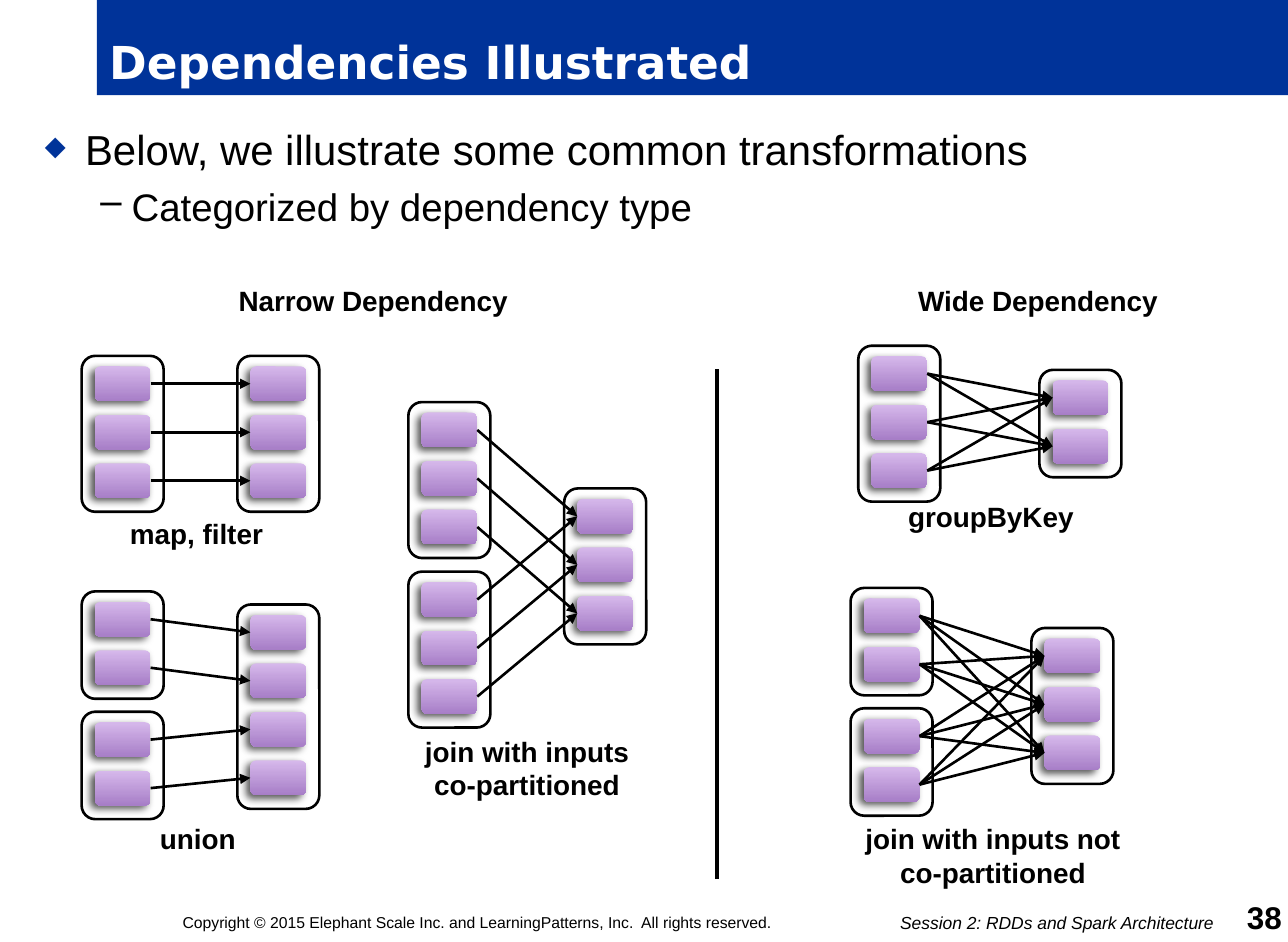
import itertools
from dataclasses import dataclass

import lxml.etree
import pptx
import pptx.dml.color
import pptx.enum.dml
import pptx.enum.shapes
import pptx.enum.text
import pptx.oxml.ns
import pptx.shapes.base
import pptx.slide
import pptx.text.text
import pptx.util

Pt = pptx.util.Pt
Align = pptx.enum.text.PP_ALIGN
Anchor = pptx.enum.text.MSO_ANCHOR
Preset = pptx.enum.shapes.MSO_SHAPE


@dataclass(frozen=True)
class Theme:
    blue: str = "003399"
    white: str = "FFFFFF"
    black: str = "000000"
    light_purple: str = "D6B8EB"
    dark_purple: str = "A77EC7"
    title_font: str = "DejaVu Sans"
    text_font: str = "Arial"
    title_size: float = 26
    bullet_size: float = 24
    subbullet_size: float = 22
    number_size: float = 18
    label_size: float = 16
    session_size: float = 10
    copyright_size: float = 9


THEME = Theme()
BOX_WIDTH = 47
BOX_PADDING = 6
PARTITION_WIDTH, PARTITION_HEIGHT = 32, 20
PARTITION_INSET = 7.5
PARTITION_PITCH = 27.8


@dataclass(frozen=True)
class Dataset:
    left: float
    top: float
    count: int

    def partitions(self) -> list[tuple[float, float]]:
        """Return the left and top of every partition."""
        return [(self.left + PARTITION_INSET, self.top + BOX_PADDING + PARTITION_PITCH * index)
                for index in range(self.count)]


@dataclass(frozen=True)
class Transformation:
    inputs: list[Dataset]
    output: Dataset
    wide: bool = False


@dataclass(frozen=True)
class Label:
    text: str
    left: float
    top: float
    width: float
    height: float
    size: float = THEME.label_size
    bold: bool = True
    italic: bool = False
    align: Align = Align.CENTER
    anchor: Anchor = Anchor.TOP
    inset: bool = True


@dataclass(frozen=True)
class Bullet:
    text: str
    level: int
    size: float
    margin: float
    hanging: float
    symbol: str
    colour: str
    percent: int
    space_before: float


TRANSFORMATIONS = [
    Transformation([Dataset(46.8, 204, 3)], Dataset(136, 204, 3)),
    Transformation([Dataset(46.8, 339, 2), Dataset(46.8, 408, 2)], Dataset(136, 346.5, 4)),
    Transformation([Dataset(234, 230.5, 3), Dataset(234, 327.7, 3)], Dataset(323.3, 280, 3)),
    Transformation([Dataset(491.8, 198.2, 3)], Dataset(595.6, 212, 2), wide=True),
    Transformation([Dataset(487.4, 337, 2), Dataset(487.4, 406, 2)], Dataset(591, 360, 3), wide=True),
]

LABELS = [
    Label("Narrow Dependency", 129.6, 159, 172, 26.6, align=Align.LEFT),
    Label("Wide Dependency", 519, 159, 155, 26.6, align=Align.LEFT),
    Label("map, filter", 44.6, 292.5, 136, 26.6),
    Label("union", 44.6, 467.5, 137.5, 26.6),
    Label("join with inputs co-partitioned", 234, 417.5, 136, 46),
    Label("groupByKey", 489, 283, 157.5, 26.6),
    Label("join with inputs not\nco-partitioned", 457, 467.5, 224, 46),
    Label("Copyright © 2015 Elephant Scale Inc. and LearningPatterns, Inc.  All rights reserved.",
          99.4, 520.5, 347.8, 13.7, THEME.copyright_size, bold=False, anchor=Anchor.BOTTOM, inset=False),
    Label("Session 2: RDDs and Spark Architecture", 512.6, 522.7, 185.8, 16.6,
          THEME.session_size, bold=False, italic=True, inset=False),
    Label("38", 691.2, 518.4, 43.2, 18, THEME.number_size,
          align=Align.RIGHT, anchor=Anchor.BOTTOM, inset=False),
]

BULLETS = [
    Bullet("Below, we illustrate some common transformations", 0, THEME.bullet_size,
           23, 23, "◆", THEME.blue, 65, 0),
    Bullet("Categorized by dependency type", 1, THEME.subbullet_size,
           49.7, 18, "–", THEME.black, 100, 5),
]


def rgb(colour: str) -> pptx.dml.color.RGBColor:
    """Turn a hexadecimal string into a colour."""
    return pptx.dml.color.RGBColor.from_string(colour)


def add_element(parent: lxml.etree._Element, tag: str, **attributes: object) -> lxml.etree._Element:
    """Append a DrawingML element to its parent."""
    return lxml.etree.SubElement(parent, pptx.oxml.ns.qn(f"a:{tag}"),
                                 {name: str(value) for name, value in attributes.items()})


def style_font(paragraph: pptx.text.text._Paragraph, size: float, colour: str = THEME.black,
               name: str = THEME.text_font, bold: bool = False, italic: bool = False) -> None:
    """Set the font of a whole paragraph."""
    font = paragraph.font
    font.name, font.size, font.bold, font.italic = name, Pt(size), bold, italic
    font.color.rgb = rgb(colour)


def draw_shape(slide: pptx.slide.Slide, preset: Preset, left: float, top: float,
               width: float, height: float, fill: str) -> pptx.shapes.base.BaseShape:
    """Draw a flat preset shape without outline or shadow."""
    shape = slide.shapes.add_shape(preset, Pt(left), Pt(top), Pt(width), Pt(height))
    shape.fill.solid()
    shape.fill.fore_color.rgb = rgb(fill)
    shape.line.fill.background()
    shape.shadow.inherit = False
    return shape


def draw_title(slide: pptx.slide.Slide, text: str) -> None:
    """Draw the title bar."""
    shape = draw_shape(slide, Preset.RECTANGLE, 55.5, 0, 682.5, 54.5, THEME.blue)
    frame = shape.text_frame
    frame.word_wrap, frame.vertical_anchor = True, Anchor.BOTTOM
    paragraph = frame.paragraphs[0]
    paragraph.text, paragraph.alignment = text, Align.LEFT
    style_font(paragraph, THEME.title_size, THEME.white, THEME.title_font, bold=True)


def draw_bullets(slide: pptx.slide.Slide, bullets: list[Bullet]) -> None:
    """Draw the bulleted introduction."""
    frame = slide.shapes.add_textbox(Pt(18.7), Pt(67.5), Pt(701), Pt(88)).text_frame
    frame.word_wrap = True
    for index, bullet in enumerate(bullets):
        paragraph = frame.add_paragraph() if index else frame.paragraphs[0]
        paragraph.text, paragraph.level = bullet.text, bullet.level
        properties = paragraph._p.get_or_add_pPr()
        properties.set("marL", str(Pt(bullet.margin)))
        properties.set("indent", str(-Pt(bullet.hanging)))
        add_element(add_element(properties, "buClr"), "srgbClr", val=bullet.colour)
        add_element(properties, "buSzPct", val=bullet.percent * 1000)
        add_element(properties, "buChar", char=bullet.symbol)
        paragraph.space_before = Pt(bullet.space_before)
        style_font(paragraph, bullet.size)


def draw_label(slide: pptx.slide.Slide, label: Label) -> None:
    """Draw a single-paragraph text box."""
    frame = slide.shapes.add_textbox(Pt(label.left), Pt(label.top), Pt(label.width), Pt(label.height)).text_frame
    frame.word_wrap, frame.vertical_anchor = True, label.anchor
    if not label.inset:
        frame.margin_left = frame.margin_right = frame.margin_top = frame.margin_bottom = 0
    paragraph = frame.paragraphs[0]
    paragraph.text, paragraph.alignment = label.text, label.align
    style_font(paragraph, label.size, bold=label.bold, italic=label.italic)


def draw_line(slide: pptx.slide.Slide, start: tuple[float, float], end: tuple[float, float],
              width: float, arrow: bool = False) -> None:
    """Draw a straight line, with an arrowhead if wanted."""
    connector = slide.shapes.add_connector(
        pptx.enum.shapes.MSO_CONNECTOR.STRAIGHT, *(Pt(value) for value in (*start, *end)))
    connector.line.width = Pt(width)
    connector.line.color.rgb = rgb(THEME.black)
    properties = connector.element.spPr
    if arrow:
        add_element(properties.find(pptx.oxml.ns.qn("a:ln")), "tailEnd", type="triangle")
    add_element(properties, "effectLst")


def draw_partition(slide: pptx.slide.Slide, left: float, top: float) -> None:
    """Draw one shaded partition with its soft shadow."""
    shape = draw_shape(slide, Preset.ROUNDED_RECTANGLE, left, top,
                       PARTITION_WIDTH, PARTITION_HEIGHT, THEME.light_purple)
    shape.fill.gradient()
    shape.fill.gradient_angle = 270
    for stop, colour in zip(shape.fill.gradient_stops, (THEME.light_purple, THEME.dark_purple)):
        stop.color.rgb = rgb(colour)
    effects = shape.element.spPr.find(pptx.oxml.ns.qn("a:effectLst"))
    shadow = add_element(effects, "outerShdw", blurRad=Pt(4.5), dist=Pt(3), dir=146 * 60000, rotWithShape=0)
    add_element(add_element(shadow, "srgbClr", val=THEME.black), "alpha", val=65000)


def draw_dataset(slide: pptx.slide.Slide, dataset: Dataset) -> None:
    """Draw a dataset box and its partitions."""
    height = PARTITION_PITCH * dataset.count + BOX_PADDING
    box = draw_shape(slide, Preset.ROUNDED_RECTANGLE, dataset.left, dataset.top, BOX_WIDTH, height, THEME.white)
    box.line.color.rgb = rgb(THEME.black)
    box.line.width = Pt(1.5)
    for left, top in dataset.partitions():
        draw_partition(slide, left, top)


def draw_transformation(slide: pptx.slide.Slide, transformation: Transformation) -> None:
    """Draw the datasets of a transformation and the arrows between them."""
    for dataset in (*transformation.inputs, transformation.output):
        draw_dataset(slide, dataset)
    sources = [place for dataset in transformation.inputs for place in dataset.partitions()]
    targets = transformation.output.partitions()
    pairs = itertools.product(sources, targets) if transformation.wide else zip(sources, itertools.cycle(targets))
    for (left, top), (target_left, target_top) in pairs:
        draw_line(slide, (left + PARTITION_WIDTH, top + PARTITION_HEIGHT / 2),
                  (target_left, target_top + PARTITION_HEIGHT / 2), 1.5, arrow=True)


def main() -> None:
    """Build and save the slide."""
    presentation = pptx.Presentation()
    presentation.slide_width, presentation.slide_height = Pt(738), Pt(540)
    slide = presentation.slides.add_slide(presentation.slide_layouts[6])
    draw_title(slide, "Dependencies Illustrated")
    draw_bullets(slide, BULLETS)
    for transformation in TRANSFORMATIONS:
        draw_transformation(slide, transformation)
    draw_line(slide, (411, 504), (411, 211.7), 2.25)
    for label in LABELS:
        draw_label(slide, label)
    presentation.save("out.pptx")


if __name__ == "__main__":
    main()
